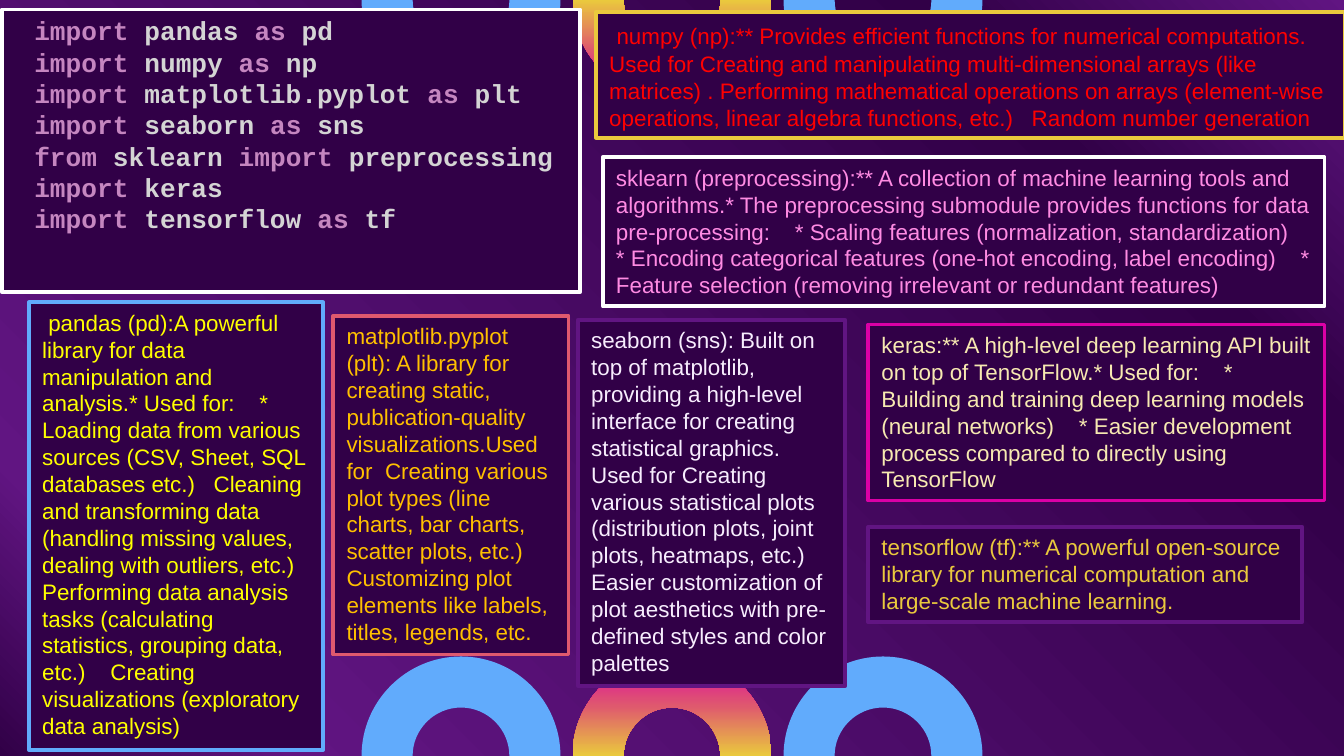
from dataclasses import dataclass

from lxml import etree
from pptx import Presentation
from pptx import util as u
from pptx.dml.color import RGBColor
from pptx.enum import shapes, text
from pptx.oxml.ns import qn

CELL = u.Inches(0.1)
COLUMNS, ROWS = 100, 56.25
DARK, PURPLE, BLUE, WHITE = "310047", "611582", "61ABFC", "FFFFFF"
PINK, CORAL, GOLD = "DB00A6", "DF596E", "EAC93D"
KEYWORD, NAME = "C586C0", "D4D4D4"
BACKDROP = [(0, DARK), (14, PURPLE), (80, DARK), (100, PURPLE)]
SUNSET = [(0, PINK), (50, CORAL), (100, GOLD)]
OUTER, INNER = 7.4, 3.6
ARCH_STEP = 15.7
ROUNDNESS = 0.55

CODE = """import pandas as pd
import numpy as np
import matplotlib.pyplot as plt
import seaborn as sns
from sklearn import preprocessing
import keras
import tensorflow as tf"""


@dataclass(frozen=True)
class Note:
    """A bordered library note, placed in grid columns and rows."""

    column: float
    row: float
    columns: float
    rows: float
    border: str
    ink: str
    words: str
    lead: str = ""


NOTES = [
    Note(2.15, 22.5, 21.9, 33.3, BLUE, "FFFF00",
         " pandas (pd):A powerful library for data manipulation and analysis.* Used for:    "
         "* Loading data from various sources (CSV, Sheet, SQL databases etc.)   Cleaning and "
         "transforming data (handling missing values, dealing with outliers, etc.)  Performing "
         "data analysis tasks (calculating statistics, grouping data, etc.)    Creating "
         "visualizations (exploratory data analysis)"),
    Note(44.35, 0.9, 55.7, 9.35, GOLD, "FF0000",
         "numpy (np):** Provides efficient functions for numerical computations. Used for "
         "Creating and manipulating multi-dimensional arrays (like matrices) . Performing "
         "mathematical operations on arrays (element-wise operations, linear algebra functions, "
         "etc.)   Random number generation", lead=" "),
    Note(24.8, 23.5, 17.5, 25.2, CORAL, "FFC000",
         "matplotlib.pyplot (plt): A library for creating static, publication-quality "
         "visualizations.Used for  Creating various plot types (line charts, bar charts, scatter "
         "plots, etc.)    Customizing plot elements like labels, titles, legends, etc."),
    Note(43, 23.8, 19.9, 27.25, PURPLE, "F7EDFD",
         "seaborn (sns): Built on top of matplotlib, providing a high-level interface for "
         "creating statistical graphics. Used for Creating various statistical plots "
         "(distribution plots, joint plots, heatmaps, etc.)    Easier customization of plot "
         "aesthetics with pre-defined styles and color palettes"),
    Note(44.85, 11.7, 53.7, 11.1, WHITE, "FF8BE3",
         "sklearn (preprocessing):** A collection of machine learning tools and algorithms.* The "
         "preprocessing submodule provides functions for data pre-processing:    * Scaling "
         "features (normalization, standardization)    * Encoding categorical features (one-hot "
         "encoding, label encoding)    * Feature selection (removing irrelevant or redundant "
         "features)"),
    Note(64.6, 24.15, 33.95, 13.1, PINK, "F7E9B1",
         "keras:** A high-level deep learning API built on top of TensorFlow.* Used for:    * "
         "Building and training deep learning models (neural networks)    * Easier development "
         "process compared to directly using TensorFlow"),
    Note(64.6, 39.2, 32.3, 7.1, PURPLE, GOLD,
         "tensorflow (tf):** A powerful open-source library for numerical computation and "
         "large-scale machine learning."),
]


def grid(cells: float) -> int:
    """Turn grid cells into a length."""
    return round(cells * CELL)


def colour(value: str) -> RGBColor:
    """Turn a hex string into a colour."""
    return RGBColor.from_string(value)


def fill_gradient(fill, element, stops: list, angle: float) -> None:
    """Fill with a linear gradient of any number of stops."""
    fill.gradient()
    fill.gradient_angle = angle
    stop_list = next(element.iter(qn("a:gsLst")))
    for stop in list(stop_list):
        stop_list.remove(stop)
    for percent, value in stops:
        stop = etree.SubElement(stop_list, qn("a:gs"), pos=str(percent * 1000))
        etree.SubElement(stop, qn("a:srgbClr"), val=value)


def paint_panel(shape, border: str) -> None:
    """Give a panel its dark fill and coloured border."""
    shape.fill.solid()
    shape.fill.fore_color.rgb = colour(DARK)
    shape.line.color.rgb = colour(border)
    shape.line.width = u.Pt(2)


def half_circle(radius: float) -> list:
    """List the Bezier points of a half circle from left to right."""
    pull = radius * ROUNDNESS
    return [(-radius, 0), (-radius, pull), (-pull, radius), (0, radius),
            (pull, radius), (radius, pull), (radius, 0)]


def curve_segments(element) -> None:
    """Merge the straight segments of both half circles into curves."""
    lines = list(element.iter(qn("a:lnTo")))
    for first in (0, 3, 7, 10):
        curve = etree.Element(qn("a:cubicBezTo"))
        lines[first].addprevious(curve)
        for line in lines[first:first + 3]:
            curve.append(line[0])
            line.getparent().remove(line)


def draw_arch(slide, centre: float, at_top: bool, middle: bool) -> None:
    """Draw a half ring on the top or bottom edge."""
    base = OUTER if at_top else ROWS
    points = [(grid(centre + across), grid(base - up))
              for across, up in half_circle(OUTER) + half_circle(INNER)[::-1]]
    builder = slide.shapes.build_freeform(*points[0])
    builder.add_line_segments(points[1:], close=True)
    arch = builder.convert_to_shape()
    curve_segments(arch.element)
    arch.shadow.inherit = False
    arch.line.fill.background()
    arch.rotation = 180 if at_top else 0
    if middle:
        fill_gradient(arch.fill, arch.element, SUNSET, 270)
    else:
        arch.fill.solid()
        arch.fill.fore_color.rgb = colour(BLUE)


def draw_note(slide, note: Note) -> None:
    """Draw one library note."""
    panel = slide.shapes.add_shape(
        shapes.MSO_SHAPE.RECTANGLE, grid(note.column), grid(note.row),
        grid(note.columns), grid(note.rows))
    panel.shadow.inherit = False
    paint_panel(panel, note.border)
    frame = panel.text_frame
    frame.word_wrap = True
    frame.vertical_anchor = text.MSO_ANCHOR.TOP
    paragraph = frame.paragraphs[0]
    paragraph.alignment = text.PP_ALIGN.LEFT
    paragraph.font.name = "Arial"
    paragraph.font.size = u.Pt(12)
    paragraph.font.color.rgb = colour(note.ink)
    if note.lead:
        lead = paragraph.add_run()
        lead.text = note.lead
        lead.font.size = u.Pt(14)
    paragraph.add_run().text = note.words


def write_code(panel) -> None:
    """Fill the subtitle placeholder with the import lines."""
    panel.left, panel.top, panel.width, panel.height = map(grid, (0.15, 0.7, 43, 21.05))
    paint_panel(panel, WHITE)
    frame = panel.text_frame
    frame.word_wrap = True
    frame.auto_size = text.MSO_AUTO_SIZE.NONE
    frame.vertical_anchor = text.MSO_ANCHOR.TOP
    frame.margin_left, frame.margin_top = grid(2.4), grid(0.38)
    frame.margin_right = 0
    for index, line in enumerate(CODE.splitlines()):
        paragraph = frame.add_paragraph() if index else frame.paragraphs[0]
        paragraph.alignment = text.PP_ALIGN.LEFT
        paragraph.space_before = u.Pt(0)
        paragraph.line_spacing = u.Pt(16.8)
        paragraph.font.name = "Courier New"
        paragraph.font.size = u.Pt(14)
        paragraph.font.bold = True
        words = line.split()
        for position, word in enumerate(words, 1):
            run = paragraph.add_run()
            run.text = word if position == len(words) else word + " "
            run.font.color.rgb = colour(KEYWORD if word in ("import", "as", "from") else NAME)


def main() -> None:
    """Build and save the slide."""
    presentation = Presentation()
    presentation.slide_width, presentation.slide_height = grid(COLUMNS), grid(ROWS)
    slide = presentation.slides.add_slide(presentation.slide_layouts[0])
    fill_gradient(slide.background.fill, slide.element, BACKDROP, 45)
    title, subtitle = slide.placeholders
    tree = title.element.getparent()
    tree.remove(title.element)
    for at_top in (True, False):
        for offset in (-1, 0, 1):
            draw_arch(slide, COLUMNS / 2 + offset * ARCH_STEP, at_top, offset == 0)
    tree.append(subtitle.element)
    write_code(subtitle)
    for note in NOTES:
        draw_note(slide, note)
    presentation.save("out.pptx")


if __name__ == "__main__":
    main()
